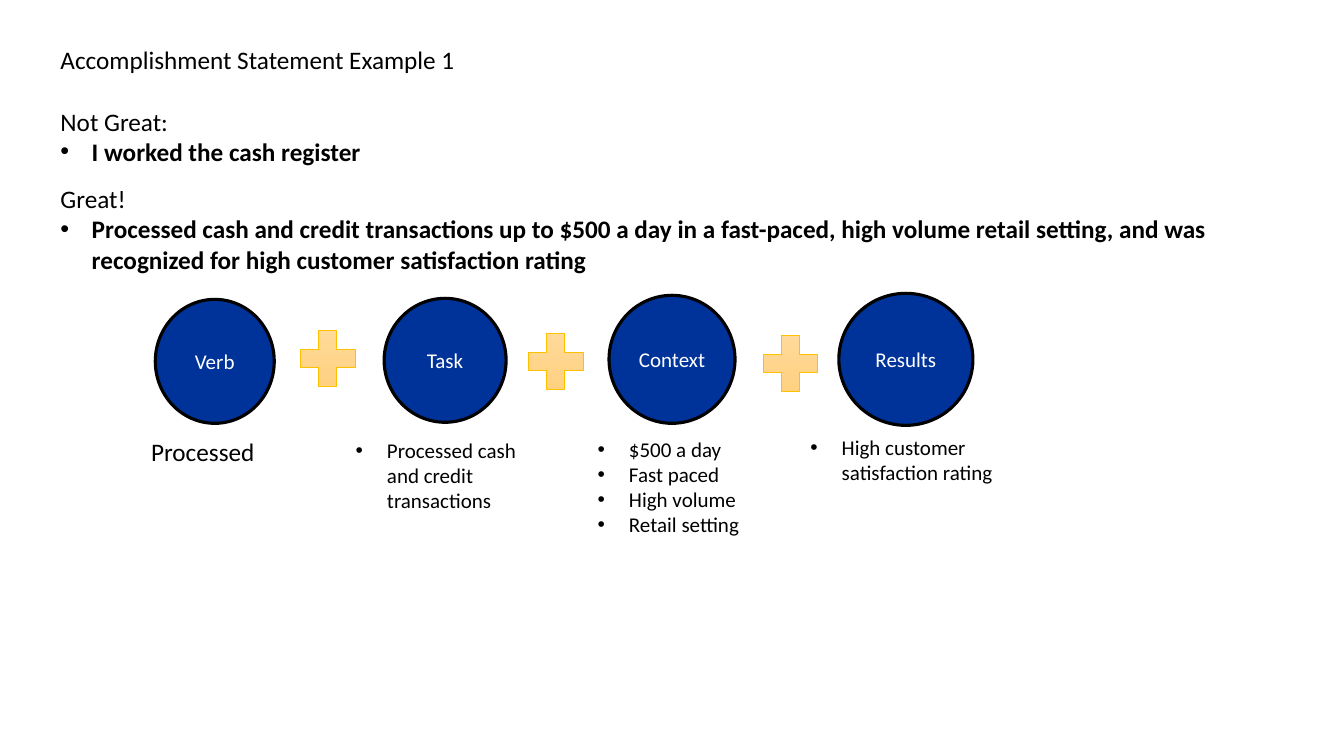
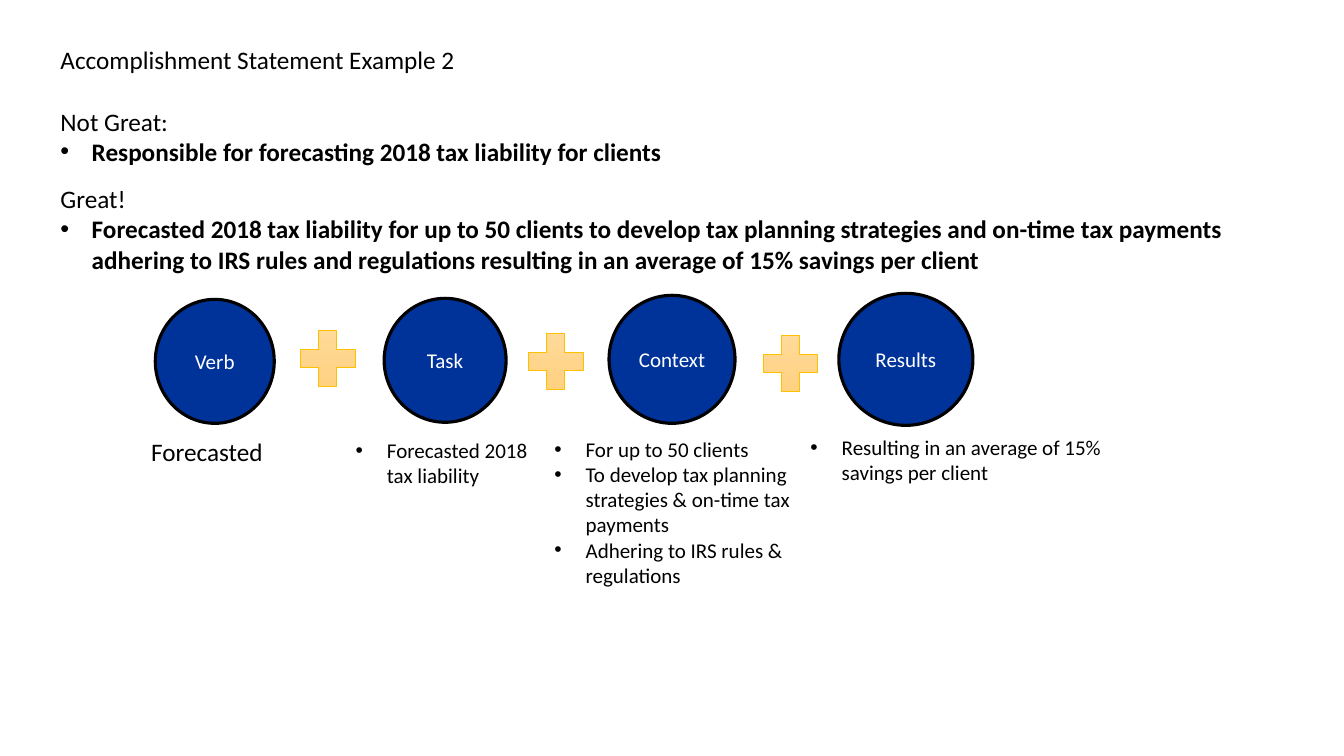
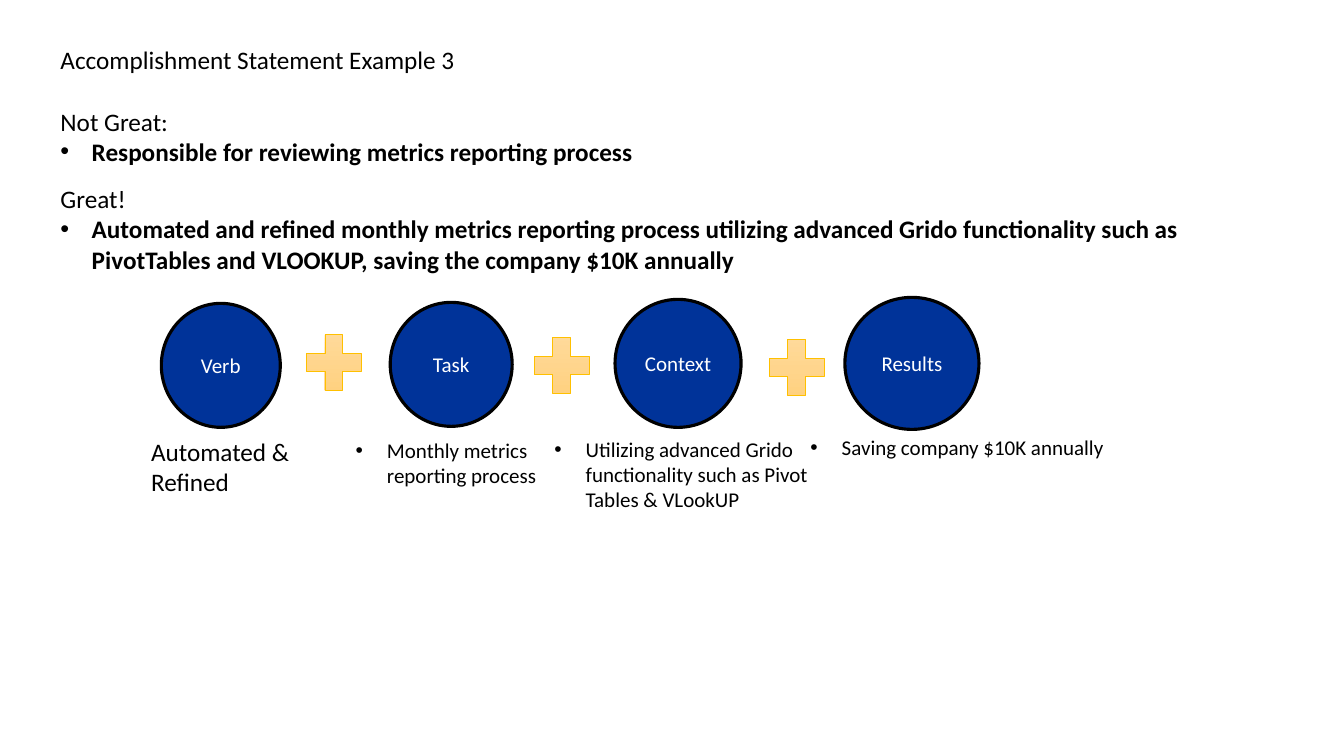
from typing import NamedTuple

from lxml import etree
from pptx import Presentation
from pptx.dml.color import RGBColor
from pptx.enum.shapes import MSO_SHAPE
from pptx.enum.text import MSO_ANCHOR, MSO_AUTO_SIZE, PP_ALIGN
from pptx.oxml.ns import qn
from pptx.util import Inches, Pt

CIRCLE = MSO_SHAPE.FLOWCHART_CONNECTOR
PLUS = MSO_SHAPE.MATH_PLUS
TOP, MIDDLE = MSO_ANCHOR.TOP, MSO_ANCHOR.MIDDLE
LEFT, CENTER = PP_ALIGN.LEFT, PP_ALIGN.CENTER
NO_AUTOFIT, GROW = MSO_AUTO_SIZE.NONE, MSO_AUTO_SIZE.SHAPE_TO_FIT_TEXT

BLACK = RGBColor(0x00, 0x00, 0x00)
WHITE = RGBColor(0xFF, 0xFF, 0xFF)
BLUE = RGBColor(0x00, 0x33, 0x99)
GOLD = RGBColor(0xFF, 0xC0, 0x00)
PLUS_GRADIENT = (RGBColor(0xFF, 0xDB, 0x9E), RGBColor(0xFF, 0xD0, 0x7C))

FONT = "Calibri"
LARGE, SMALL = 18, 15
BULLET_INDENT = Inches(0.31)
PLUS_SIZE = (0.74, 0.75)


class Box(NamedTuple):
    left: float
    top: float
    width: float
    height: float


class Circle(NamedTuple):
    label: str
    box: Box


class Caption(NamedTuple):
    lines: tuple[str, ...]
    box: Box
    size: int = SMALL
    bulleted: bool = True


class Example(NamedTuple):
    title: str
    weak: str
    strong: str
    captions: tuple[Caption, ...]
    shift: tuple[float, float] = (0, 0)


TITLE_BOX = Box(0.5, 0.39, 12.18, 0.4)
BODY_BOX = Box(0.5, 1, 12.18, 1.8)

# The formula row: four circles joined by plus signs
CIRCLES = (
    Circle("Verb", Box(1.54, 2.97, 1.18, 1.23)),
    Circle("Task", Box(3.81, 2.96, 1.21, 1.23)),
    Circle("Context", Box(6.04, 2.93, 1.25, 1.27)),
    Circle("Results", Box(8.32, 2.91, 1.33, 1.31)),
)
PLUS_POSITIONS = ((2.88, 3.18), (5.14, 3.21), (7.47, 3.23))


def verb_caption(*lines: str, height: float = 0.4) -> Caption:
    return Caption(lines, Box(1.4, 4.28, 2.21, height), LARGE, False)


def task_caption(line: str, height: float = 0.61) -> Caption:
    return Caption((line,), Box(3.43, 4.29, 2.09, height))


def context_caption(*lines: str, left: float = 5.4, height: float = 1.41) -> Caption:
    return Caption(lines, Box(left, 4.28, 2.92, height))


def results_caption(line: str, width: float = 3.42, height: float = 0.61) -> Caption:
    return Caption((line,), Box(7.94, 4.26, width, height))


EXAMPLES = (
    Example(
        "Accomplishment Statement Example 1",
        "I worked the cash register",
        "Processed cash and credit transactions up to $500 a day in a fast-paced, "
        "high volume retail setting, and was recognized for high customer "
        "satisfaction rating",
        (
            verb_caption("Processed"),
            task_caption("Processed cash and credit transactions", height=0.86),
            context_caption("$500 a day", "Fast paced", "High volume",
                            "Retail setting", left=5.83),
            results_caption("High customer satisfaction rating", width=2.35),
        ),
    ),
    Example(
        "Accomplishment Statement Example 2",
        "Responsible for forecasting 2018 tax liability for clients",
        "Forecasted 2018 tax liability for up to 50 clients to develop tax planning "
        "strategies and on-time tax payments adhering to IRS rules and regulations "
        "resulting in an average of 15% savings per client",
        (
            verb_caption("Forecasted"),
            task_caption("Forecasted 2018 tax liability"),
            context_caption("For up to 50 clients",
                            "To develop tax planning strategies & on-time tax payments",
                            "Adhering to IRS rules & regulations", height=1.92),
            results_caption("Resulting in an average of 15% savings per client"),
        ),
    ),
    Example(
        "Accomplishment Statement Example 3",
        "Responsible for reviewing metrics reporting process",
        "Automated and refined monthly metrics reporting process utilizing advanced "
        "Grido functionality such as PivotTables and VLOOKUP, saving the company "
        "$10K annually",
        (
            verb_caption("Automated &", "Refined", height=0.71),
            task_caption("Monthly metrics reporting process"),
            context_caption("Utilizing advanced Grido functionality such as "
                            "Pivot Tables & VLookUP"),
            results_caption("Saving company $10K annually", height=0.35),
        ),
        shift=(0.06, 0.04),
    ),
)


def place(shape, box: Box) -> None:
    shape.left, shape.top, shape.width, shape.height = map(Inches, box)


def add_run(paragraph, text: str, size: int, color: RGBColor = BLACK,
            bold: bool = False) -> None:
    run = paragraph.add_run()
    run.text = text
    font = run.font
    font.name, font.size, font.bold = FONT, Pt(size), bold
    font.color.rgb = color


def format_paragraph(paragraph, bulleted: bool, space_before: float = 0) -> None:
    """Set spacing, then a hanging bullet or a flush line without one."""
    paragraph.alignment = LEFT
    paragraph.space_before = Pt(space_before)
    properties = paragraph._p.get_or_add_pPr()
    indent = BULLET_INDENT if bulleted else 0
    properties.set("marL", str(indent))
    properties.set("indent", str(-indent))
    if bulleted:
        etree.SubElement(properties, qn("a:buFont")).set("typeface", "Arial")
        etree.SubElement(properties, qn("a:buChar")).set("char", "•")
    else:
        etree.SubElement(properties, qn("a:buNone"))


def next_paragraph(frame, index: int):
    return frame.add_paragraph() if index else frame.paragraphs[0]


def fill_placeholder_frame(placeholder, box: Box):
    place(placeholder, box)
    frame = placeholder.text_frame
    frame.word_wrap = True
    frame.auto_size = NO_AUTOFIT
    frame.vertical_anchor = TOP
    return frame


def add_statements(slide, example: Example) -> None:
    """Write the title and the weak and strong statements."""
    title = fill_placeholder_frame(slide.shapes.title, TITLE_BOX).paragraphs[0]
    format_paragraph(title, bulleted=False)
    add_run(title, example.title, LARGE)

    body = fill_placeholder_frame(slide.placeholders[1], BODY_BOX)
    rows = (
        ("Not Great:", False, 0),
        (example.weak, True, 0),
        ("Great!", False, 12.2),
        (example.strong, True, 0),
    )
    for index, (text, bulleted, space_before) in enumerate(rows):
        paragraph = next_paragraph(body, index)
        format_paragraph(paragraph, bulleted, space_before)
        add_run(paragraph, text, LARGE, bold=bulleted)


def add_outlined_shape(shapes, kind, box: Box, color: RGBColor, width: float):
    shape = shapes.add_shape(kind, *map(Inches, box))
    shape.shadow.inherit = False
    shape.line.color.rgb = color
    shape.line.width = Pt(width)
    return shape


def add_circle(shapes, circle: Circle) -> None:
    shape = add_outlined_shape(shapes, CIRCLE, circle.box, BLACK, 2.25)
    shape.fill.solid()
    shape.fill.fore_color.rgb = BLUE
    frame = shape.text_frame
    frame.margin_left = frame.margin_right = 0
    frame.vertical_anchor = MIDDLE
    paragraph = frame.paragraphs[0]
    paragraph.alignment = CENTER
    add_run(paragraph, circle.label, SMALL, WHITE)


def add_plus(shapes, left: float, top: float) -> None:
    shape = add_outlined_shape(shapes, PLUS, Box(left, top, *PLUS_SIZE), GOLD, 0.5)
    shape.fill.gradient()
    shape.fill.gradient_angle = 270
    for stop, color in zip(shape.fill.gradient_stops, PLUS_GRADIENT):
        stop.color.rgb = color


def add_formula(slide, shift: tuple[float, float]) -> None:
    """Group the circles and plus signs, then move the group as one."""
    group = slide.shapes.add_group_shape()
    for circle in CIRCLES:
        add_circle(group.shapes, circle)
    for left, top in PLUS_POSITIONS:
        add_plus(group.shapes, left, top)
    group.left += Inches(shift[0])
    group.top += Inches(shift[1])


def add_caption(slide, caption: Caption) -> None:
    frame = slide.shapes.add_textbox(*map(Inches, caption.box)).text_frame
    frame.word_wrap = True
    frame.auto_size = GROW
    for index, line in enumerate(caption.lines):
        paragraph = next_paragraph(frame, index)
        format_paragraph(paragraph, caption.bulleted)
        add_run(paragraph, line, caption.size)


def main() -> None:
    presentation = Presentation()
    presentation.slide_width, presentation.slide_height = Inches(13.33), Inches(7.5)
    title_and_content = presentation.slide_layouts[1]
    for example in EXAMPLES:
        slide = presentation.slides.add_slide(title_and_content)
        add_statements(slide, example)
        add_formula(slide, example.shift)
        for caption in example.captions:
            add_caption(slide, caption)
    presentation.save("out.pptx")


if __name__ == "__main__":
    main()
